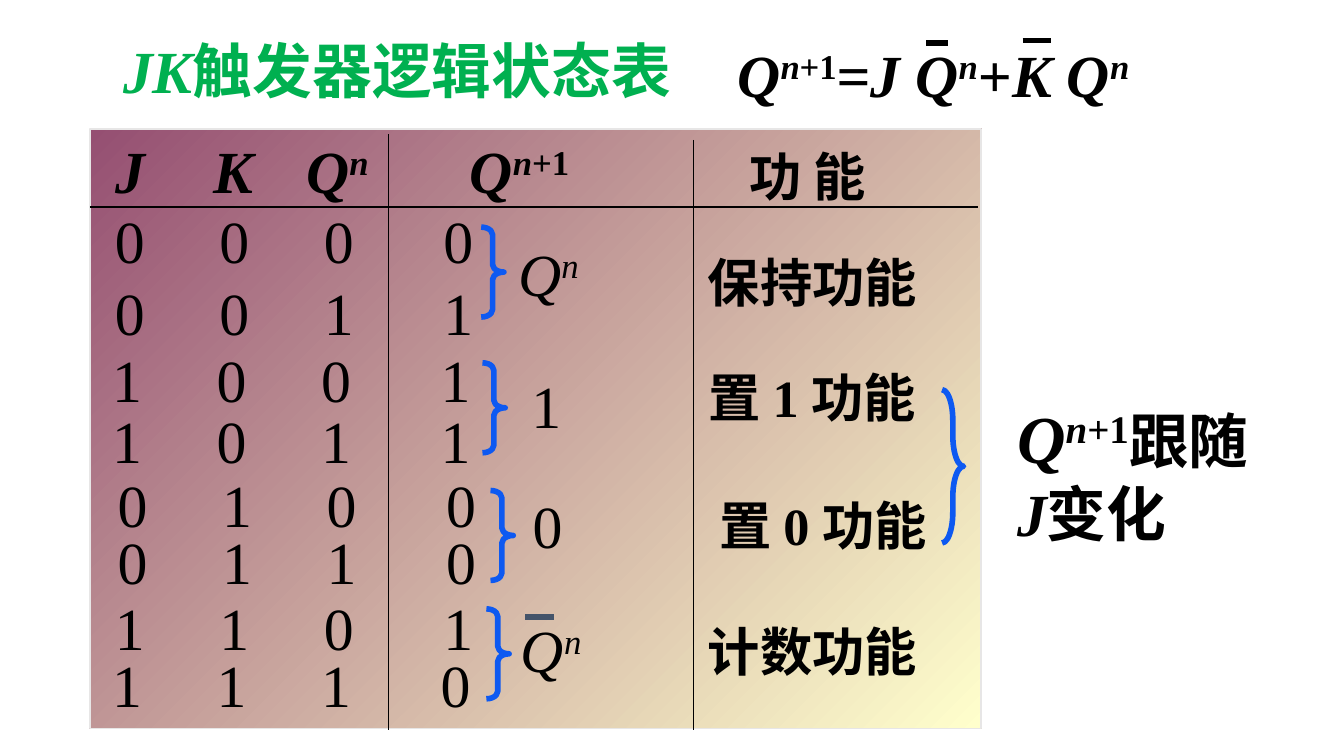
"""Build the JK flip-flop state table slide."""
from pptx import Presentation
from pptx.dml.color import RGBColor
from pptx.enum import shapes, text
from pptx.oxml import ns
from pptx.util import Pt
from lxml import etree

FONT = "Times New Roman"
BLACK, GREEN, BLUE, SLATE = "000000", "00B050", "0D59F1", "44546A"
BRACE_SIZE = (12.2, 48.2)
TAB_STOPS = (56, 112, 176)
ROW_INDENT, ROW_WIDTH, LINE_HEIGHT = 32, 256.3, 46

PANEL = (48.2, 69.1, 477.4, 321.1)
RULES = [
    ((48.2, 110.9), (524.2, 110.9), 0.75, BLACK),
    ((208.1, 72), (208.1, 391), 0.75, BLACK),
    ((371.5, 74.9), (371.5, 391), 0.75, BLACK),
]
OVERBARS = [
    ((281.5, 330.5), (296.6, 330.5), 3, SLATE),
    ((547.9, 21.6), (563, 21.6), 3, BLACK),
    ((496.1, 23), (507.6, 23), 3, BLACK),
]

Q_N = [("Q", "i"), ("n", "i^")]
Q_NEXT = [("Q", "bi"), ("n", "bi^"), ("+1", "b^")]
TITLE = [("JK", "bi"), ("触发器逻辑状态表", "b")]
EQUATION = Q_NEXT + [("=", "b"), ("J Q", "bi"), ("n", "bi^"), ("+", "b"),
                     ("K Q", "bi"), ("n", "bi^")]
HEADERS = [
    ((54.7, 67.7, 28.8), [("J", "bi")]),
    ((107.3, 67.7, 36), [("K", "bi")]),
    ((156.2, 67.7, 49), [("Q", "bi"), ("n", "bi^")]),
    ((242.6, 67.7, 71.3), Q_NEXT),
]
STATES = [
    {"rows": [("0001"[:3] + "0", 29.5, 105.1), ("0011", 29.5, 144)],
     "brace": (257.8, 121.7), "next": ((269.3, 123.1, 49), Q_N),
     "function": ("保持功能", 371.5, 130.3)},
    {"rows": [("1001", 28.1, 180), ("1011", 28.1, 212.4)],
     "brace": (258.5, 194.4), "next": ((277.2, 193.7, 31), [("1", "")]),
     "function": ("置 1 功能", 371.5, 192.2)},
    {"rows": [("0100", 31, 247), ("0110", 31, 277.2)],
     "brace": (262.8, 262.8), "next": ((277.9, 257.8, 31), [("0", "")]),
     "function": ("置 0 功能", 377.3, 260.6)},
    {"rows": [("1101", 29.5, 312.5), ("1110", 28.1, 343.4)],
     "brace": (260.6, 326.2), "next": ((270.7, 324.7, 49), Q_N),
     "function": ("计数功能", 371.5, 328.3)},
]
STATES[0]["rows"][0] = ("0000", 29.5, 105.1)


def color(value):
    return RGBColor.from_string(value)


def add_text(slide, box, parts, size=32, ink=BLACK, align="CENTER", wrap=False,
             tabs=(), indent=7.2):
    left, top, width, height = (*box, LINE_HEIGHT)[:4]
    frame = slide.shapes.add_textbox(Pt(left), Pt(top), Pt(width), Pt(height)).text_frame
    frame.word_wrap = wrap
    frame.vertical_anchor = text.MSO_ANCHOR.MIDDLE
    frame.margin_left = Pt(indent)
    line = frame.paragraphs[0]
    line.alignment = getattr(text.PP_ALIGN, align)
    if tabs:
        tab_list = etree.SubElement(line._p.get_or_add_pPr(), ns.qn("a:tabLst"))
        for stop in tabs:
            etree.SubElement(tab_list, ns.qn("a:tab"), pos=str(Pt(stop)), algn="l")
    for wording, style, *own_size in parts:
        run = line.add_run()
        run.text = wording
        run.font.name = FONT
        run.font.size = Pt(own_size[0] if own_size else size)
        run.font.bold = "b" in style
        run.font.italic = "i" in style
        run.font.color.rgb = color(ink)
        if "^" in style:
            run._r.get_or_add_rPr().set("baseline", "30000")


def add_line(slide, start, end, weight, ink):
    line = slide.shapes.add_connector(
        shapes.MSO_CONNECTOR.STRAIGHT, *map(Pt, (*start, *end)))
    line.line.width = Pt(weight)
    line.line.color.rgb = color(ink)
    etree.SubElement(line._element.spPr, ns.qn("a:effectLst"))


def add_brace(slide, box, curve):
    brace = slide.shapes.add_shape(shapes.MSO_SHAPE.RIGHT_BRACE, *map(Pt, box))
    brace.shadow.inherit = False
    brace.adjustments[0] = curve
    brace.adjustments[1] = 0.5
    brace.fill.background()
    brace.line.color.rgb = color(BLUE)
    brace.line.width = Pt(3)


def add_panel(slide):
    panel = slide.shapes.add_shape(shapes.MSO_SHAPE.RECTANGLE, *map(Pt, PANEL))
    panel.shadow.inherit = False
    panel.fill.gradient()
    panel.fill.gradient_angle = 315
    for stop, shade in zip(panel.fill.gradient_stops, ("954F72", "FFFFCC")):
        stop.color.rgb = color(shade)
    panel.line.color.rgb = color("E7E6E6")
    panel.line.width = Pt(0.75)


def main():
    deck = Presentation()
    deck.slide_width, deck.slide_height = Pt(720), Pt(405)
    slide = deck.slides.add_slide(deck.slide_layouts[6])
    add_panel(slide)
    for rule in RULES:
        add_line(slide, *rule)
    for box, parts in HEADERS:
        add_text(slide, box, parts)
    for state in STATES:
        for bits, left, top in state["rows"]:
            add_text(slide, (left, top, ROW_WIDTH), [("\t".join(bits), "")],
                     align="LEFT", wrap=True, tabs=TAB_STOPS, indent=ROW_INDENT)
        add_brace(slide, (*state["brace"], *BRACE_SIZE), 0.33)
        add_text(slide, *state["next"])
        label, left, top = state["function"]
        add_text(slide, (left, top, 127.4, 41), [(label, "b")], size=28,
                 wrap=" " in label)
    add_brace(slide, (504.7, 208.8, 11.5, 82.1), 1.43)
    follow = [(*part, 36) for part in Q_NEXT]
    follow += [("跟随 ", "b"), ("J", "bi"), ("变化", "b")]
    add_text(slide, (537.8, 208.8, 150.5, 88.6), follow, align="LEFT", wrap=True)
    add_text(slide, (54.7, 14.4, 316.1), TITLE, ink=GREEN)
    add_text(slide, (394.6, 73.4, 79.9, 41), [("功 能", "b")], size=28, align="LEFT")
    add_text(slide, (385.9, 16.6, 228.2), EQUATION)
    for bar in OVERBARS:
        add_line(slide, *bar)
    deck.save("out.pptx")


if __name__ == "__main__":
    main()
